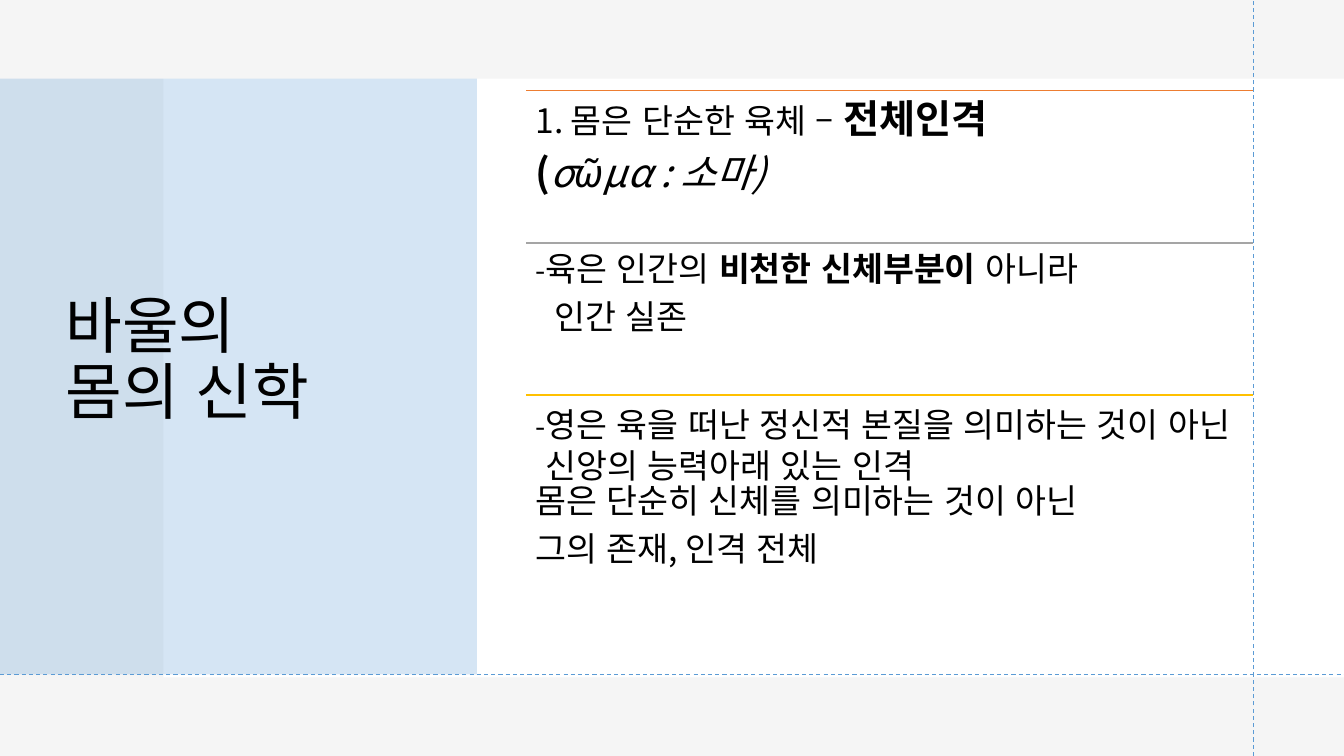
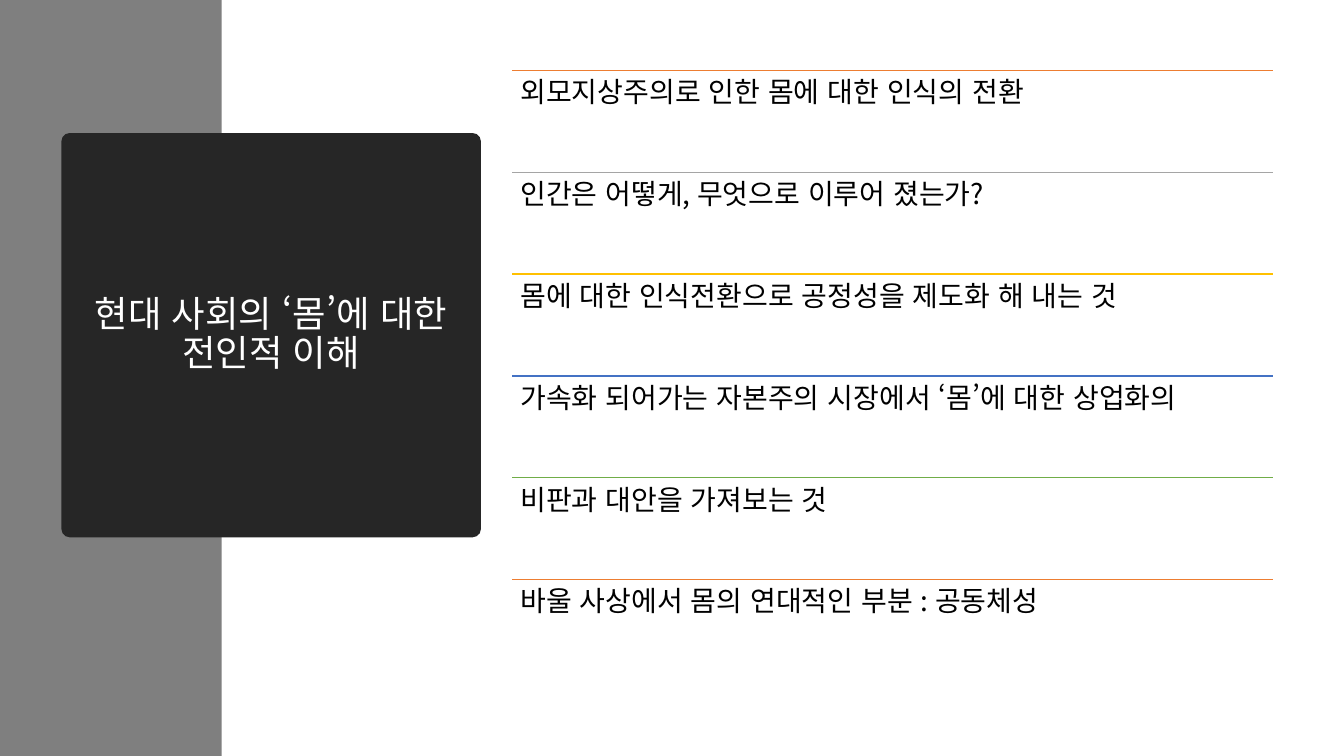
from itertools import cycle

from lxml import etree
from pptx import Presentation
from pptx.dml.color import RGBColor
from pptx.enum.dml import MSO_LINE
from pptx.enum.lang import MSO_LANGUAGE_ID
from pptx.enum.shapes import MSO_CONNECTOR, MSO_SHAPE
from pptx.enum.text import MSO_ANCHOR, PP_ALIGN
from pptx.oxml.ns import qn
from pptx.util import Inches, Pt

RECT, ROUNDED = MSO_SHAPE.RECTANGLE, MSO_SHAPE.ROUNDED_RECTANGLE
STRAIGHT, DASH = MSO_CONNECTOR.STRAIGHT, MSO_LINE.DASH
TOP, MIDDLE = MSO_ANCHOR.TOP, MSO_ANCHOR.MIDDLE
LEFT, CENTER = PP_ALIGN.LEFT, PP_ALIGN.CENTER
KOREAN = MSO_LANGUAGE_ID.KOREAN

# Content: a row is a list of paragraphs, a paragraph is (format, runs)
BODY_TITLE = ["바울의", "몸의 신학"]
BODY_ROWS = [
    [({}, [("1. 몸은 단순한 육체 – ", {}), ("전체인격", {"size": 28, "bold": True})]),
     ({}, [("(", {"size": 28, "bold": True}),
           ("σῶμα : 소마)", {"size": 28, "italic": True})])],
    [({}, [("-", {"size": 21}), ("육은 인간의 ", {}),
           ("비천한 신체부분이 ", {"bold": True}), ("아니라", {})]),
     ({"indent": 0.19}, [("인간 실존", {})])],
    [({"after": 0, "line": "loose"},
      [("-", {"size": 21}), ("영은 육을 떠난 정신적 본질을 의미하는 것이 아닌", {})]),
     ({"indent": 0.1, "after": 0, "line": "loose"}, [("신앙의 능력아래 있는 인격", {})]),
     ({}, [("몸은 단순히 신체를 의미하는 것이 아닌", {})]),
     ({}, [("그의 존재, 인격 전체", {})])],
]
SOCIETY_TITLE = ["현대 사회의 ‘몸’에 대한", "전인적 이해"]
SOCIETY_ROWS = [
    [({}, [(text, {})])] for text in (
        "외모지상주의로 인한 몸에 대한 인식의 전환",
        "인간은 어떻게, 무엇으로 이루어 졌는가?",
        "몸에 대한 인식전환으로 공정성을 제도화 해 내는 것",
        "가속화 되어가는 자본주의 시장에서 ‘몸’에 대한 상업화의",
        "비판과 대안을 가져보는 것",
        "바울 사상에서 몸의 연대적인 부분 : 공동체성",
    )
]

# Theme: colours, type and spacing
THEME = {
    "font": "Noto Sans CJK KR",
    "text": "000000", "paper": "FFFFFF", "mist": "F5F5F5", "sky": "5B9BD5",
    "band": "7F7F7F", "card": "262626",
    "accents": ["ED7D31", "A5A5A5", "FFC000", "4472C4", "70AD47"],
    "title": 44, "card_title": 26, "body": 24, "list": 20,
    "tight": 0.9, "loose": 1.0, "after": 0.35,
}
W, H = 13.33, 7.5


def rgb(name):
    return RGBColor.from_string(THEME.get(name, name))


def add_block(s, kind, box, color, opacity=None):
    sp = s.shapes.add_shape(kind, *map(Inches, box))
    sp.shadow.inherit = False
    sp.fill.solid()
    sp.fill.fore_color.rgb = rgb(color)
    sp.line.fill.background()
    if opacity is not None:
        srgb = sp.fill._xPr.find(".//" + qn("a:srgbClr"))
        etree.SubElement(srgb, qn("a:alpha"), val=str(opacity * 1000))
    return sp


def add_rule(s, x1, y1, x2, y2, color, width, dash=None):
    line = s.shapes.add_connector(STRAIGHT, *map(Inches, (x1, y1, x2, y2)))
    etree.SubElement(line._element.spPr, qn("a:effectLst"))
    line.line.color.rgb = rgb(color)
    line.line.width = Pt(width)
    if dash:
        line.line.dash_style = dash


def prepare_frame(tf, inset, anchor):
    settings = {"word_wrap": True, "vertical_anchor": anchor}
    settings.update({"margin_" + side: Inches(inset)
                     for side in ("left", "right", "top", "bottom")})
    for name, value in settings.items():
        setattr(tf, name, value)


def add_run(p, text, color, size, **style):
    r = p.add_run()
    r.text = text
    r.font.color.rgb = rgb(color)
    formats = {"name": THEME["font"], "size": Pt(size), "language_id": KOREAN, **style}
    formats["size"] = Pt(size)
    for name, value in formats.items():
        setattr(r.font, name, value)
    latin = r.font._element.find(qn("a:latin"))
    latin.addnext(latin.makeelement(qn("a:ea"), {"typeface": THEME["font"]}))


def write_title(sp, lines, size, color, align, inset):
    tf = sp.text_frame
    prepare_frame(tf, inset, MIDDLE)
    p = tf.paragraphs[0]
    p.alignment, p.line_spacing = align, THEME["tight"]
    for i, text in enumerate(lines):
        if i:
            p.add_line_break()
        add_run(p, text, color, THEME[size])


def write_row(tf, paragraphs, size):
    for i, (form, runs) in enumerate(paragraphs):
        p = tf.paragraphs[0] if i == 0 else tf.add_paragraph()
        p.alignment = LEFT
        p.line_spacing = THEME[form.get("line", "tight")]
        p.space_after = Pt(form.get("after", round(THEME["after"] * size, 1)))
        if "indent" in form:
            p._p.get_or_add_pPr().set("marL", str(Inches(form["indent"])))
        for text, style in runs:
            add_run(p, text, "text", **{"size": size, **style})


def add_ruled_rows(s, rows, left, top, width, step, size, inset, last=None):
    """Stack rows at equal steps, each under a rule in the next accent."""
    for i, (paragraphs, accent) in enumerate(zip(rows, cycle(THEME["accents"]))):
        y = top + i * step
        height = last if last and i == len(rows) - 1 else step
        add_rule(s, left, y, left + width, y, accent, 1)
        box = s.shapes.add_textbox(*map(Inches, (left, y, width, height)))
        prepare_frame(box.text_frame, inset, TOP)
        write_row(box.text_frame, paragraphs, THEME[size])


def new_slide(prs, background):
    s = prs.slides.add_slide(prs.slide_layouts[6])
    s.background.fill.solid()
    s.background.fill.fore_color.rgb = rgb(background)
    return s


def build_body_slide(prs):
    s = new_slide(prs, "mist")
    # Panels
    add_block(s, RECT, (1.62, 0.78, W - 1.62, 5.94), "paper")
    add_block(s, RECT, (0, 0.78, 4.73, 5.91), "sky", opacity=25)
    # Title and guide lines
    title = s.shapes.add_textbox(*map(Inches, (0.55, 0.74, 3.95, 5.69)))
    write_title(title, BODY_TITLE, "title", "text", LEFT, 0.1)
    add_rule(s, 12.43, H, 12.43, 0, "sky", 0.75, DASH)
    add_rule(s, 0, 6.69, W, 6.69, "sky", 0.75, DASH)
    # Statements
    add_ruled_rows(s, BODY_ROWS, 5.22, 0.9, 7.21, 1.51, "body", 0.09, last=2.7)


def build_society_slide(prs):
    s = new_slide(prs, "paper")
    # Side band and title card
    add_block(s, RECT, (0, 0, 2.2, H), "band")
    card = add_block(s, ROUNDED, (0.61, 1.32, 4.16, 4.01), "card")
    card.adjustments[0] = 0.02
    write_title(card, SOCIETY_TITLE, "card_title", "paper", CENTER, 0)
    # Topics
    add_ruled_rows(s, SOCIETY_ROWS, 5.08, 0.7, 7.55, 1.01, "list", 0.08)


def main():
    prs = Presentation()
    prs.slide_width, prs.slide_height = Inches(W), Inches(H)
    build_body_slide(prs)
    build_society_slide(prs)
    prs.save("out.pptx")


if __name__ == "__main__":
    main()
